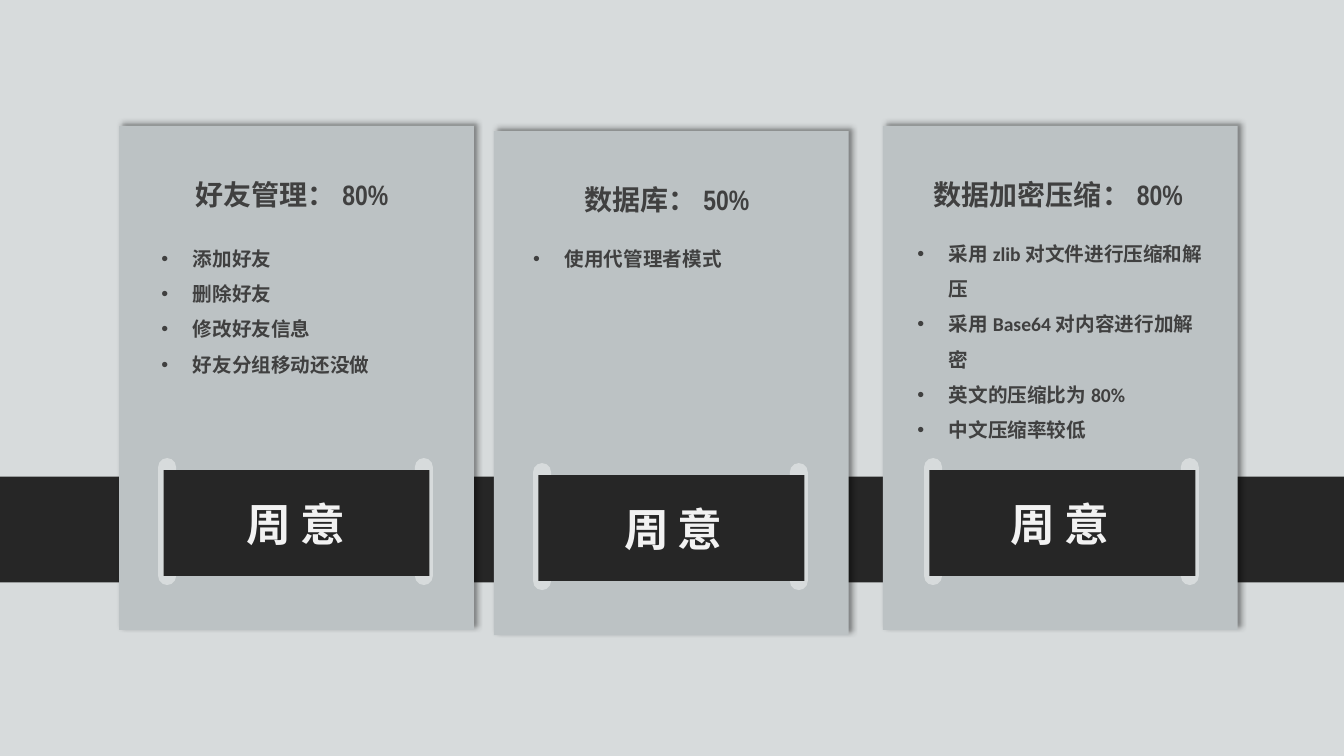
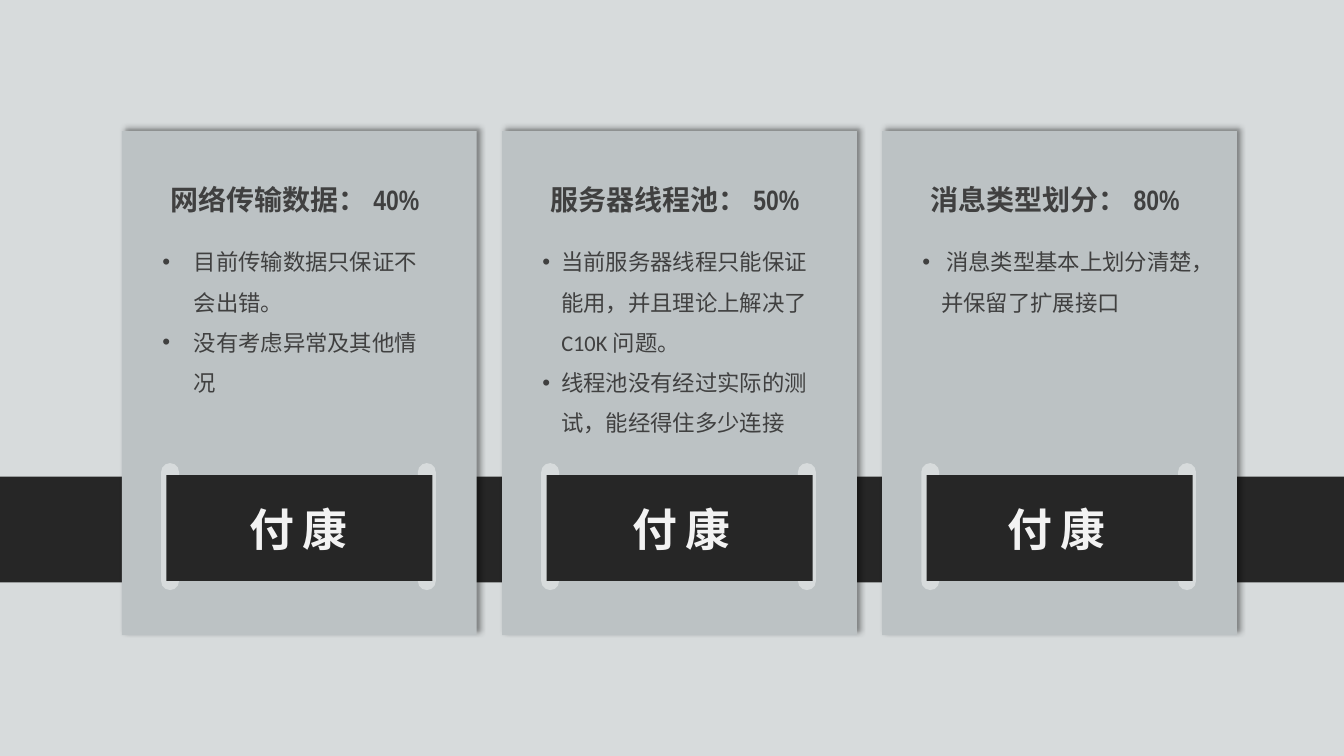
from dataclasses import dataclass

from lxml.etree import SubElement as Sub
from pptx import Presentation
from pptx.dml.color import RGBColor as Rgb
from pptx.enum.shapes import MSO_SHAPE as Kind
from pptx.enum.text import PP_ALIGN as Align
from pptx.oxml.ns import qn
from pptx.util import Pt

HUES = {
    "page": "D7DBDC",
    "dark": "262626",
    "card": "BCC2C4",
    "text": "404040",
    "light": "F2F2F2",
    "shade": "000000",
}
CJK = "Noto Sans CJK JP"
FONTS = {
    "head": {"size": Pt(20), "name": "Arial Narrow", "bold": True},
    "name": {"size": Pt(32), "name": CJK, "bold": True},
    "strong": {"size": Pt(14), "name": "Calibri", "bold": True},
    "plain": {"size": Pt(16), "name": "Calibri", "bold": False},
}
LINES = {
    "head": {"alignment": Align.CENTER, "space_before": Pt(8.5)},
    "name": {"alignment": Align.CENTER},
    "list": {"alignment": Align.LEFT, "line_spacing": 1.5},
}
WIDE, HIGH = 960, 540
CARD_W, CARD_H = 253.4, 360
PLATE_W, PLATE_H = 190, 75.6
TAB_W, TAB_H = 12.8, 90.7
TAB_GAP = 183.4


@dataclass
class Card:
    """One panel; the offsets are measured from its left edge."""
    left: float
    top: float
    head: str
    items: list
    style: str
    plate: float = 31.8
    label: float = 72.5
    title: float = 22.7
    body: float = 28.8
    start: float = 167.8
    width: float = 193
    hang: float = 22.5


def put(obj, vals):
    for key, val in vals.items():
        setattr(obj, key, val)


def block(shapes, kind, box, hue, bend=None):
    """Add a flat filled shape, with its corner bend if given."""
    shape = shapes.add_shape(kind, *map(Pt, box))
    shape.shadow.inherit = False
    shape.fill.solid()
    shape.fill.fore_color.rgb = Rgb.from_string(HUES[hue])
    shape.line.fill.background()
    if bend is not None:
        shape.adjustments[0] = bend
    return shape


def shade(shape):
    """Cast a soft shadow up and to the right."""
    fx = shape._element.spPr.find(qn("a:effectLst"))
    cast = Sub(fx, qn("a:outerShdw"), blurRad=str(Pt(4)), dist=str(Pt(3)),
               dir=str(315 * 60000), algn="bl", rotWithShape="0")
    tint = Sub(cast, qn("a:srgbClr"), val=HUES["shade"])
    Sub(tint, qn("a:alpha"), val="40000")


def write(para, words, style, hue):
    run = para.add_run()
    run.text = words
    put(run.font, FONTS[style])
    run.font.color.rgb = Rgb.from_string(HUES[hue])
    Sub(run._r.get_or_add_rPr(), qn("a:ea"), typeface=CJK)
    return run


def frame(shapes, box, pad=0):
    """Add a wrapping text box with equal insets and return its frame."""
    text = shapes.add_textbox(*map(Pt, box)).text_frame
    sides = ("left", "top", "right", "bottom")
    put(text, {"word_wrap": True} | {f"margin_{s}": Pt(pad) for s in sides})
    return text


def label(shapes, box, words, kind, hue, pad=0, gap=0):
    para = frame(shapes, box, pad).paragraphs[0]
    put(para, LINES[kind])
    run = write(para, words, kind, hue)
    if gap:
        run._r.get_or_add_rPr().set("spc", str(gap * 100))


def bullets(shapes, box, items, style, hang):
    text = frame(shapes, box)
    for num, item in enumerate(items):
        para = text.add_paragraph() if num else text.paragraphs[0]
        put(para, LINES["list"])
        props = para._p.get_or_add_pPr()
        put_in = {"marL": Pt(hang), "indent": -Pt(hang)}
        for key, val in put_in.items():
            props.set(key, str(int(val)))
        Sub(props, qn("a:buFont"), typeface="Arial")
        Sub(props, qn("a:buChar"), char="•")
        write(para, item, style, "text")


def panel(slide, card, name):
    group = slide.shapes.add_group_shape().shapes
    x, y = card.left, card.top
    shade(block(group, Kind.ROUNDED_RECTANGLE, (x, y, CARD_W, CARD_H), "card", 0))
    for step in range(2):
        tab = (x + card.plate - 3.8 + step * TAB_GAP, y + 237.2, TAB_W, TAB_H)
        block(group, Kind.ROUNDED_RECTANGLE, tab, "page", 0.5)
    plate = (x + card.plate, y + 245.8, PLATE_W, PLATE_H)
    block(group, Kind.RECTANGLE, plate, "dark")
    label(group, (x + card.label, y + 261.4, 108, 46), name, "name", "light", 3.6, 6)
    bullets(group, (x + card.body, card.start, card.width, 157.7),
            card.items, card.style, card.hang)
    label(group, (x + card.title, y + 36.7, 201.6, 36), card.head, "head", "text")


def page(deck, name, cards):
    slide = deck.slides.add_slide(deck.slide_layouts[6])
    fill = slide.background.fill
    fill.solid()
    fill.fore_color.rgb = Rgb.from_string(HUES["page"])
    block(slide.shapes, Kind.RECTANGLE, (0, 340.4, 960, 75.6), "dark")
    for card in cards:
        panel(slide, card, name)


def main():
    deck = Presentation()
    put(deck, {"slide_width": Pt(WIDE), "slide_height": Pt(HIGH)})
    page(deck, "周意", [
        Card(85, 90, "好友管理：80%",
             ["添加好友", "删除好友", "修改好友信息", "好友分组移动还没做"],
             "strong", body=30.2),
        Card(352.8, 93.6, "数据库：50%", ["使用代管理者模式"],
             "strong", label=74.2, body=28.1),
        Card(630.7, 90, "数据加密压缩：80%",
             ["采用zlib对文件进行压缩和解压", "采用Base64对内容进行加解密",
              "英文的压缩比为80%", "中文压缩率较低"],
             "strong", plate=33.2, title=24.5, body=24.5, start=164.2, width=210.2),
    ])
    lefts = [87.1 + 271.5 * col for col in range(3)]
    page(deck, "付康", [
        Card(lefts[0], 93.6, "网络传输数据：40%",
             ["目前传输数据只保证不会出错。", "没有考虑异常及其他情况"],
             "plain", label=72),
        Card(lefts[1], 93.6, "服务器线程池：50%",
             ["当前服务器线程只能保证能用，并且理论上解决了C10K问题。",
              "线程池没有经过实际的测试，能经得住多少连接"],
             "plain", label=74.2, hang=13.5),
        Card(lefts[2], 93.6, "消息类型划分：80%",
             [" 消息类型基本上划分清楚，并保留了扩展接口"],
             "plain", label=70.6, hang=13.5),
    ])
    deck.save("out.pptx")


if __name__ == "__main__":
    main()
